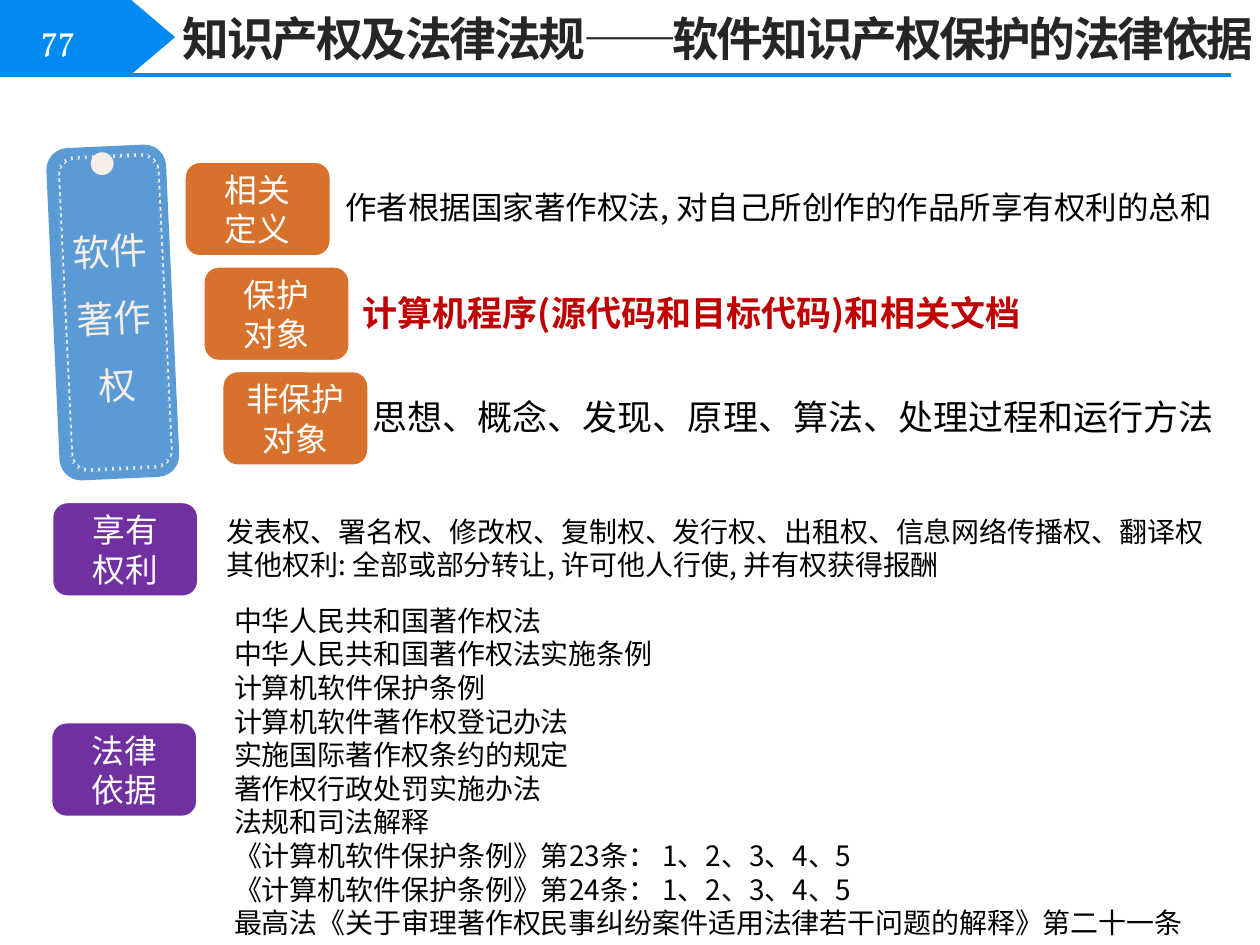
"""Build the slide on the legal basis for software copyright protection."""
import lxml.etree
import pptx
import pptx.dml.color
import pptx.enum.dml
import pptx.enum.lang
import pptx.enum.shapes
import pptx.enum.text
import pptx.oxml.ns
import pptx.util

Cm, Pt = pptx.util.Cm, pptx.util.Pt
SHAPES = pptx.enum.shapes.MSO_SHAPE
ALIGN = pptx.enum.text.PP_ALIGN
CHINESE = "Noto Sans CJK SC"
BLUE, TAG_BLUE, CREAM = "008AF2", "5B9BD5", "F5EDE8"
ORANGE, PURPLE, WHITE, BLACK = "D7712B", "7030A0", "FFFFFF", "000000"
LABEL_SIZE = (2.97, 1.93)


def color(value):
    return pptx.dml.color.RGBColor.from_string(value)


def add_tag(parent, name, **attributes):
    tag = lxml.etree.SubElement(parent, pptx.oxml.ns.qn(name))
    for key, value in attributes.items():
        tag.set(key, value)
    return tag


def write_text(shape, lines, size, ink, font_name=CHINESE, bold=False,
               spacing=None, alignment=ALIGN.LEFT, track=None):
    paragraph_format = {"alignment": alignment, "line_spacing": spacing}
    font_format = {"name": font_name, "size": Pt(size), "bold": bold,
                   "language_id": pptx.enum.lang.MSO_LANGUAGE_ID.SIMPLIFIED_CHINESE}
    frame = shape.text_frame
    for index, line in enumerate(lines):
        paragraph = frame.add_paragraph() if index else frame.paragraphs[0]
        for key, value in paragraph_format.items():
            setattr(paragraph, key, value)
        run = paragraph.add_run()
        run.text = line
        for key, value in font_format.items():
            setattr(run.font, key, value)
        run.font.color.rgb = color(ink)
        properties = run._r.get_or_add_rPr()
        add_tag(properties, "a:ea", typeface=CHINESE)
        if track:
            properties.set("spc", str(track))


def add_box(slide, kind, bounds, fill=None, line=None, width=2, rotation=0):
    shape = slide.shapes.add_shape(kind, *map(Cm, bounds))
    shape.shadow.inherit = False
    shape.rotation = rotation
    if fill:
        shape.fill.solid()
        shape.fill.fore_color.rgb = color(fill)
    else:
        shape.fill.background()
    if line:
        shape.line.color.rgb = color(line)
        shape.line.width = Pt(width)
    else:
        shape.line.fill.background()
    return shape


def add_text(slide, bounds, lines, size, ink=BLACK, frame_format=None, rotation=0, **text_format):
    shape = slide.shapes.add_textbox(*map(Cm, bounds))
    shape.rotation = rotation
    settings = {"word_wrap": True,
                "auto_size": pptx.enum.text.MSO_AUTO_SIZE.SHAPE_TO_FIT_TEXT}
    settings.update(frame_format or {})
    for key, value in settings.items():
        setattr(shape.text_frame, key, value)
    write_text(shape, lines, size, ink, **text_format)


def add_label(slide, left, top, lines, fill):
    shape = add_box(slide, SHAPES.ROUNDED_RECTANGLE, (left, top, *LABEL_SIZE), fill, WHITE)
    shape.text_frame.word_wrap = True
    shape.text_frame.vertical_anchor = pptx.enum.text.MSO_ANCHOR.MIDDLE
    write_text(shape, lines, 18.7, WHITE, "Calibri", alignment=ALIGN.CENTER)


def add_header(slide):
    rule = slide.shapes.add_connector(
        pptx.enum.shapes.MSO_CONNECTOR.STRAIGHT, Cm(0), Cm(1.52), Cm(24.82), Cm(1.52))
    rule.line.color.rgb = color(BLUE)
    rule.line.width = Pt(2.25)
    add_tag(rule._element.spPr, "a:effectLst")
    arrow = add_box(slide, SHAPES.PENTAGON, (0, 0, 3.53, 1.5), BLUE)
    arrow.adjustments[0] = 0.59
    add_text(slide, (0.58, 0.18, 2.36, 1.17), ["77"], 20, WHITE,
             {"auto_size": pptx.enum.text.MSO_AUTO_SIZE.NONE,
              "vertical_anchor": pptx.enum.text.MSO_ANCHOR.MIDDLE}, font_name="Vollkorn")
    add_text(slide, (3.43, 0.08, 23.55, 1.4), ["知识产权及法律法规——软件知识产权保护的法律依据"],
             26.7, "262626", bold=True, track=-130)


def add_hanging_tag(slide):
    add_box(slide, SHAPES.ROUNDED_RECTANGLE, (1.12, 3, 2.31, 6.6), TAG_BLUE, TAG_BLUE, 3, 357.4)
    stitching = add_box(slide, SHAPES.ROUNDED_RECTANGLE, (1.27, 3.15, 2.01, 6.3),
                        line=TAG_BLUE, rotation=357.3)
    stitching.line.dash_style = pptx.enum.dml.MSO_LINE.ROUND_DOT
    effects = stitching._element.spPr.find(pptx.oxml.ns.qn("a:effectLst"))
    shadow = add_tag(effects, "a:outerShdw", blurRad="0", dist=str(Pt(1)), dir="0",
                     algn="ctr", rotWithShape="0")
    add_tag(shadow, "a:srgbClr", val=CREAM)
    add_box(slide, SHAPES.OVAL, (1.83, 3.07, 0.46, 0.46), CREAM)
    margins = {"margin_left": Cm(0.18), "margin_right": Cm(0.18),
               "margin_top": Cm(0.1), "margin_bottom": Cm(0.1)}
    add_text(slide, (1.3, 4.06, 1.96, 4.29), ["软件著作权"], 21.3, CREAM, margins, 357,
             spacing=1.5, alignment=ALIGN.CENTER)


def add_definitions(slide):
    labels = [["相关", "定义"], ["保护", "对象"], ["非保护对象"]]
    for index, lines in enumerate(labels):
        add_label(slide, 3.71 + 0.38 * index, 3.25 + 2.11 * index, lines, ORANGE)
    add_text(slide, (6.71, 3.66, 18.19, 1.02),
             ["作者根据国家著作权法, 对自己所创作的作品所享有权利的总和"], 18)
    add_text(slide, (7.06, 5.84, 14.22, 1.02),
             ["计算机程序(源代码和目标代码)和相关文档"], 20, "C00000", bold=True, spacing=0.9)
    add_text(slide, (7.26, 7.95, 17.7, 1.02),
             ["思想、概念、发现、原理、算法、处理过程和运行方法"], 20, spacing=0.9)


def add_rights_and_laws(slide):
    add_label(slide, 1.04, 10.11, ["享有", "权利"], PURPLE)
    add_text(slide, (4.32, 10.24, 20.8, 1.63), [
        "发表权、署名权、修改权、复制权、发行权、出租权、信息网络传播权、翻译权",
        "其他权利: 全部或部分转让, 许可他人行使, 并有权获得报酬"], 16)
    add_label(slide, 1.02, 14.55, ["法律", "依据"], PURPLE)
    add_text(slide, (4.47, 12.04, 23.16, 7.09), [
        "中华人民共和国著作权法",
        "中华人民共和国著作权法实施条例",
        "计算机软件保护条例",
        "计算机软件著作权登记办法",
        "实施国际著作权条约的规定",
        "著作权行政处罚实施办法",
        "法规和司法解释",
        "《计算机软件保护条例》第23条： 1、2、3、4、5",
        "《计算机软件保护条例》第24条： 1、2、3、4、5",
        "最高法《关于审理著作权民事纠纷案件适用法律若干问题的解释》第二十一条"], 16)


def main():
    presentation = pptx.Presentation()
    presentation.slide_width, presentation.slide_height = Cm(25.4), Cm(19.05)
    slide = presentation.slides.add_slide(presentation.slide_layouts[6])
    add_header(slide)
    add_hanging_tag(slide)
    add_definitions(slide)
    add_rights_and_laws(slide)
    presentation.save("out.pptx")


if __name__ == "__main__":
    main()
